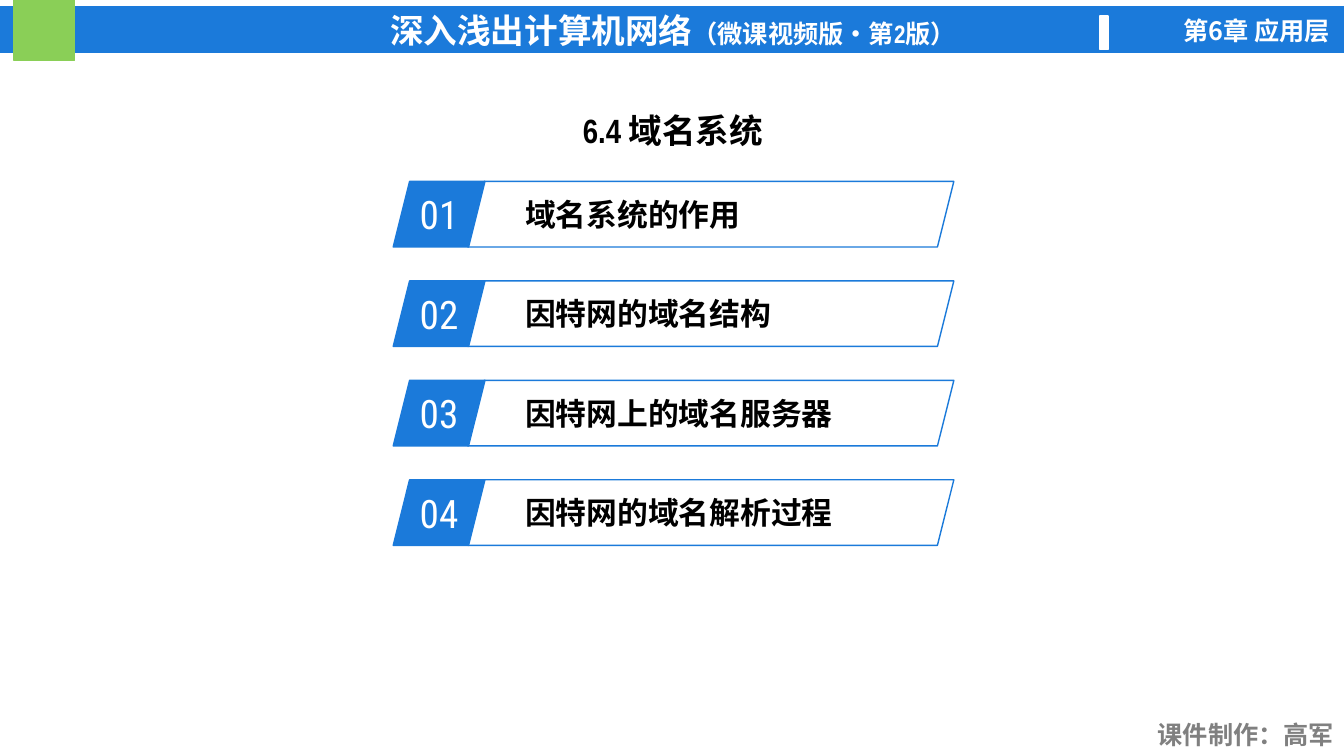
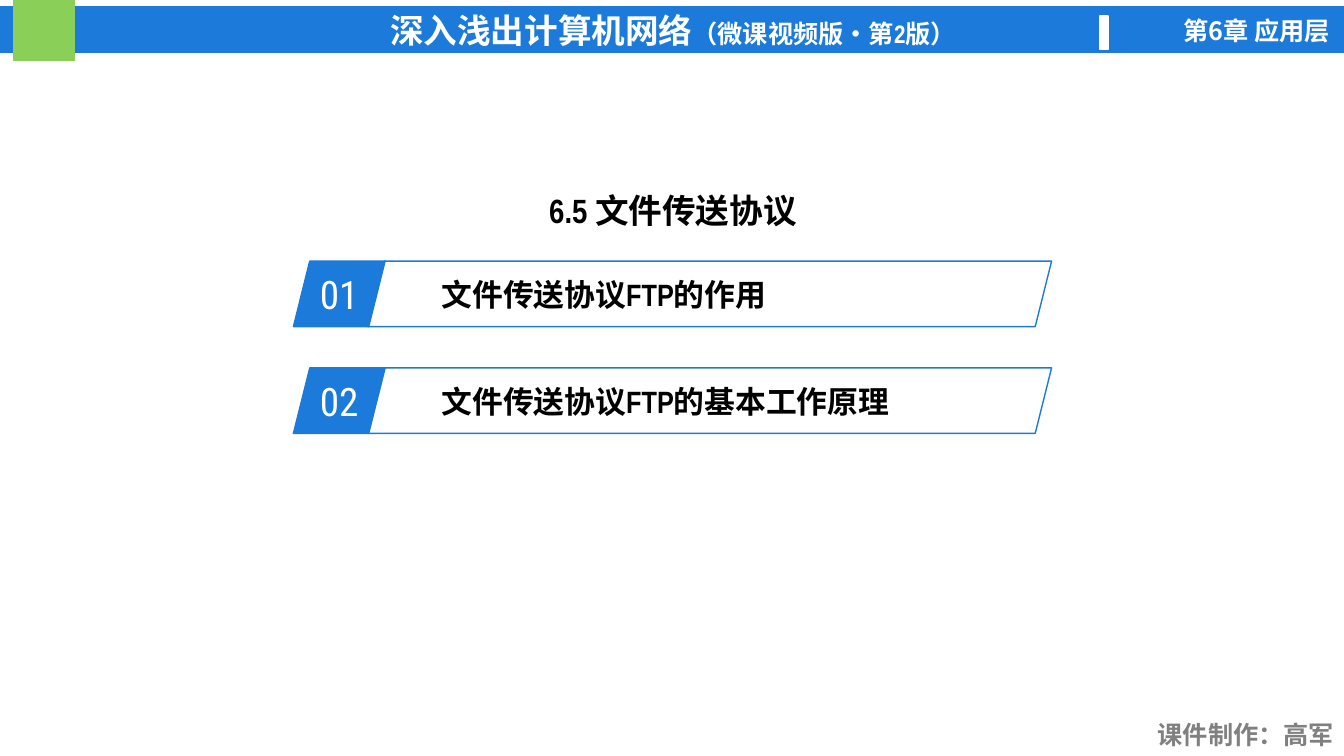
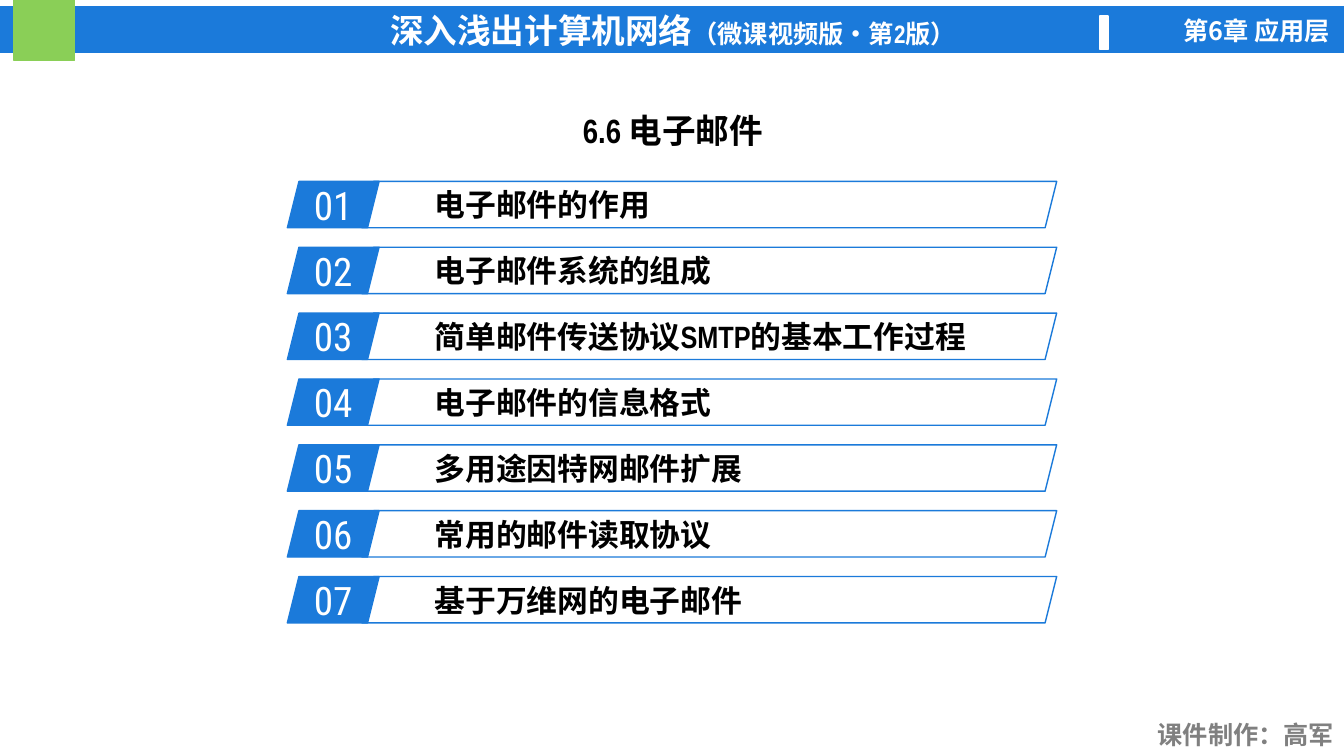
"""Build three chapter outline slides that share one banner layout."""
from lxml import etree
from pptx import Presentation, util as u
from pptx.dml.color import RGBColor
from pptx.enum import lang, shapes, text
from pptx.oxml.ns import qn

INK = {"blue": "1B7ADA", "green": "8ACF57", "white": "FFFFFF",
       "gray": "808080", "black": "000000"}
LATIN, HAN, DIGIT = "Arial Narrow", "Noto Sans CJK SC", "Roboto Condensed"
RECT, SLANT = shapes.MSO_SHAPE.RECTANGLE, shapes.MSO_SHAPE.PARALLELOGRAM
LEFT, MID, RIGHT = text.PP_ALIGN.LEFT, text.PP_ALIGN.CENTER, text.PP_ALIGN.RIGHT

BOOK = [("深入浅出计算机网络", 24), ("（微课视频版•第2版）", 18)]
NOTES = [
    ("第6章 应用层", (11.11, 0.1, 2.18, 0.4), HAN, "white"),
    ("课件制作：高军", (11.34, 7.09, 1.99, 0.4), LATIN, "gray"),
]
PAGES = [
    {"title": "6.4 域名系统", "left": 3.9, "wide": 4.82, "high": 0.65,
     "first": 1.8, "last": 4.76,
     "items": ["域名系统的作用", "因特网的域名结构", "因特网上的域名服务器",
               "因特网的域名解析过程"]},
    {"title": "6.5 文件传送协议", "left": 2.91, "wide": 6.78, "high": 0.65,
     "first": 2.59, "last": 3.65,
     "items": ["文件传送协议FTP的作用", "文件传送协议FTP的基本工作原理"]},
    {"title": "6.6 电子邮件", "left": 2.85, "wide": 6.89, "high": 0.46,
     "first": 1.8, "last": 5.72,
     "items": ["电子邮件的作用", "电子邮件系统的组成",
               "简单邮件传送协议SMTP的基本工作过程", "电子邮件的信息格式",
               "多用途因特网邮件扩展", "常用的邮件读取协议",
               "基于万维网的电子邮件"]},
]
STEP = 0.74


def tint(name):
    return RGBColor.from_string(INK[name])


def write(shape, runs, font=LATIN, ink="black", bold=True, align=LEFT,
          anchor=text.MSO_ANCHOR.MIDDLE):
    """Fill a shape with one paragraph of (text, size) runs."""
    frame = shape.text_frame
    frame.word_wrap = True
    frame.auto_size = text.MSO_AUTO_SIZE.NONE
    frame.vertical_anchor = anchor
    para = frame.paragraphs[0]
    para.alignment = align
    for words, size in runs:
        run = para.add_run()
        run.text = words
        face = run.font
        face.size, face.bold, face.name = u.Pt(size), bold, font
        face.color.rgb = tint(ink)
        face.language_id = lang.MSO_LANGUAGE_ID.SIMPLIFIED_CHINESE
        asian = etree.SubElement(run._r.get_or_add_rPr(), qn("a:ea"))
        asian.set("typeface", HAN)


def block(slide, kind, area, line, fill=None):
    shape = slide.shapes.add_shape(kind, *map(u.Inches, area))
    shape.shadow.inherit = False
    shape.line.color.rgb = tint(line)
    shape.line.width = u.Pt(1)
    if fill:
        shape.fill.solid()
        shape.fill.fore_color.rgb = tint(fill)
    else:
        shape.fill.background()
    return shape


def frame_layout(slide, layout):
    """Draw the banner and notes, then hand them to the layout."""
    for holder in list(layout.placeholders):
        if holder.placeholder_format.idx:
            holder.element.getparent().remove(holder.element)
    band = block(slide, RECT, (0, 0.07, 13.35, 0.45), "blue", "blue")
    write(band, BOOK, ink="white", align=MID)
    parts = [band,
             block(slide, RECT, (0.14, 0, 0.6, 0.6), "green", "green"),
             block(slide, RECT, (10.91, 0.16, 0.08, 0.33), "white", "white")]
    for words, area, font, ink in NOTES:
        note = slide.shapes.add_textbox(*map(u.Inches, area))
        write(note, [(words, 18)], font=font, ink=ink, align=RIGHT,
              anchor=text.MSO_ANCHOR.TOP)
        parts.append(note)
    for part in parts:
        layout.shapes.element.append(part.element)


def outline(slide, page):
    """Set the title and the numbered rows."""
    title = slide.shapes.title
    title.left, title.top, title.width, title.height = map(
        u.Inches, (4.22, page["first"] - STEP, 4.91, 0.46))
    write(title, [(page["title"], 24)], align=MID)
    left, wide, high = page["left"], page["wide"], page["high"]
    pitch = (page["last"] - page["first"]) / (len(page["items"]) - 1)
    for row, words in enumerate(page["items"]):
        top = page["first"] + row * pitch
        badge = block(slide, SLANT, (left, top, 0.91, high), "blue", "blue")
        write(badge, [(f"{row + 1:02}", 28)], font=DIGIT, ink="white",
              bold=False, align=MID)
        label = block(slide, SLANT, (left + STEP, top, wide, high), "blue")
        write(label, [(words, 22)])


def main():
    deck = Presentation()
    deck.slide_width, deck.slide_height = u.Inches(13.33), u.Inches(7.5)
    layout = deck.slide_layouts[5]
    slides = [deck.slides.add_slide(layout) for _ in PAGES]
    frame_layout(slides[0], layout)
    for slide, page in zip(slides, PAGES):
        outline(slide, page)
    deck.save("out.pptx")


if __name__ == "__main__":
    main()
